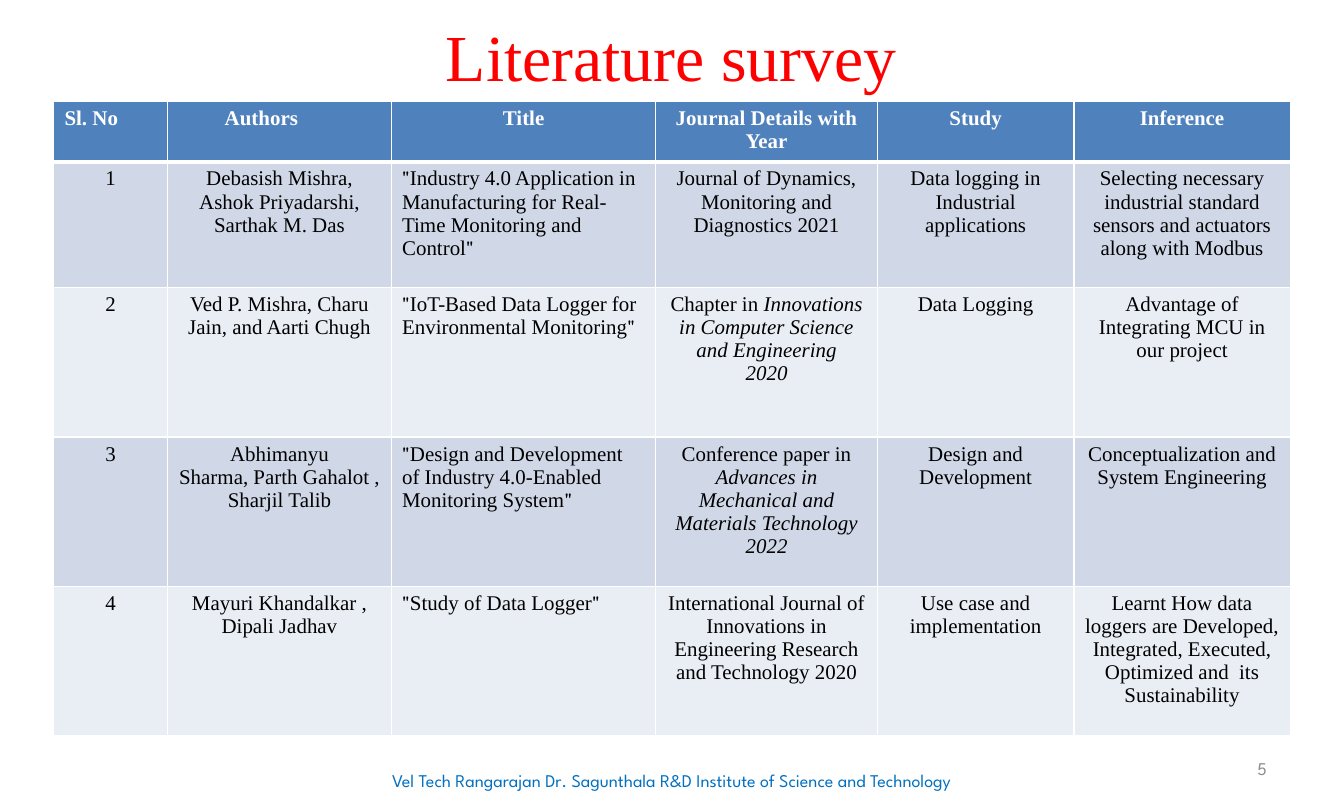
from lxml import etree
from pptx import Presentation, util as u
from pptx.dml.color import RGBColor
from pptx.enum import text as t
from pptx.oxml.ns import qn

HEADING = "Literature survey"
FOOTER = "Vel Tech Rangarajan Dr. Sagunthala R&D Institute of Science and Technology"
PAGE = "5"
HEADS = ["Sl. No", "Authors", "Title", "Journal Details with Year", "Study", "Inference"]
# Text between underscores is italic; each line is a paragraph.
PAPERS = [
    ("Debasish Mishra, Ashok Priyadarshi, Sarthak M. Das",
     "Industry 4.0 Application in Manufacturing for Real-Time Monitoring and Control",
     "Journal of Dynamics, Monitoring and Diagnostics 2021",
     "Data logging in Industrial applications",
     "Selecting necessary industrial standard sensors and actuators along with Modbus"),
    ("Ved P. Mishra, Charu Jain, and Aarti Chugh",
     "IoT-Based Data Logger for Environmental Monitoring",
     "Chapter in _Innovations in Computer Science and Engineering_\n_2020_",
     "Data Logging",
     "Advantage of Integrating MCU in our project"),
    ("Abhimanyu\nSharma, Parth Gahalot , Sharjil Talib",
     "Design and Development of Industry 4.0-Enabled Monitoring System",
     "Conference paper in _Advances in Mechanical and Materials Technology 2022_",
     "Design and Development",
     "Conceptualization and System Engineering"),
    ("Mayuri Khandalkar , Dipali Jadhav",
     "Study of Data Logger",
     "International Journal of Innovations in Engineering Research and Technology 2020",
     "Use case and implementation",
     "Learnt How data loggers are Developed, Integrated, Executed, Optimized and  its Sustainability"),
]
COLS = [106, 208, 246, 206, 183, 201]
ROWS = [55, 117, 139, 139, 139]
AUTHOR, TITLE = 1, 2

SERIF, SANS = "Times New Roman", "League Spartan"
RED = RGBColor(0xFF, 0x00, 0x00)
BLUE = RGBColor(0x00, 0x70, 0xC0)
GREY = RGBColor(0x8C, 0x8C, 0x8C)
BLACK = RGBColor(0x00, 0x00, 0x00)
WHITE = RGBColor(0xFF, 0xFF, 0xFF)
HEAD = RGBColor(0x4F, 0x81, 0xBD)
BANDS = [RGBColor(0xE9, 0xED, 0xF4), RGBColor(0xD0, 0xD8, 0xE8)]
LEFT, MID, RIGHT = t.PP_ALIGN.LEFT, t.PP_ALIGN.CENTER, t.PP_ALIGN.RIGHT


def px(n):
    """Turn px, 100 to the inch, into EMU."""
    return u.Emu(n * 9144)


def add_run(para, words, size, color, face=SERIF, bold=False, italic=False):
    run = para.add_run()
    run.text = words
    font = run.font
    font.size, font.name = u.Pt(size), face
    font.bold, font.italic = bold, italic
    font.color.rgb = color


def add_label(slide, box, words, color, align):
    frame = slide.shapes.add_textbox(*map(px, box)).text_frame
    frame.word_wrap = True
    frame.vertical_anchor = t.MSO_ANCHOR.MIDDLE
    para = frame.paragraphs[0]
    para.alignment = align
    add_run(para, words, 12, color, SANS)


def set_edges(cell, widths):
    props = cell._tc.get_or_add_tcPr()
    for side, width in zip("LRTB", widths):
        line = etree.SubElement(props, qn(f"a:ln{side}"), w=str(u.Pt(width)))
        fill = etree.SubElement(line, qn("a:solidFill"))
        etree.SubElement(fill, qn("a:srgbClr"), val=str(WHITE))


def fill_cell(cell, words, row, col):
    top = row == 0
    set_edges(cell, (1, 1, 3 if row == 1 else 1, 3 if top else 1))
    cell.fill.solid()
    cell.fill.fore_color.rgb = HEAD if top else BANDS[row % 2]
    if top and col == AUTHOR:
        cell.margin_left = px(53)
    left = col <= AUTHOR if top else col == TITLE
    quoted = not top and col == TITLE
    color = WHITE if top else BLACK
    for i, line in enumerate(words.split("\n")):
        frame = cell.text_frame
        para = frame.add_paragraph() if i else frame.paragraphs[0]
        para.alignment = LEFT if left else MID
        if quoted:
            add_run(para, '"', 14, color, SANS)
        for k, part in enumerate(line.split("_")):
            if part:
                add_run(para, part, 14, color, bold=top, italic=k % 2 == 1)
        if quoted:
            add_run(para, '"', 14, color, SANS)


def add_survey(slide):
    data = [HEADS] + [(str(i), *paper) for i, paper in enumerate(PAPERS, 1)]
    box = (50, 94, sum(COLS), sum(ROWS))
    table = slide.shapes.add_table(len(ROWS), len(COLS), *map(px, box)).table
    for col, width in zip(table.columns, COLS):
        col.width = px(width)
    for row, height in zip(table.rows, ROWS):
        row.height = px(height)
    for r, line in enumerate(data):
        for c, words in enumerate(line):
            fill_cell(table.cell(r, c), words, r, c)


def main():
    deck = Presentation()
    deck.slide_width, deck.slide_height = px(1250), px(750)
    slide = deck.slides.add_slide(deck.slide_layouts[5])
    title = slide.shapes.title
    title.left, title.top, title.width, title.height = map(px, (62, 9, 1125, 85))
    frame = title.text_frame
    frame.vertical_anchor = t.MSO_ANCHOR.MIDDLE
    para = frame.paragraphs[0]
    para.alignment = MID
    add_run(para, HEADING, 44, RED)
    add_label(slide, (0, 706, 1250, 40), FOOTER, BLUE, MID)
    add_label(slide, (896, 695, 292, 40), PAGE, GREY, RIGHT)
    add_survey(slide)
    deck.save("out.pptx")


if __name__ == "__main__":
    main()
